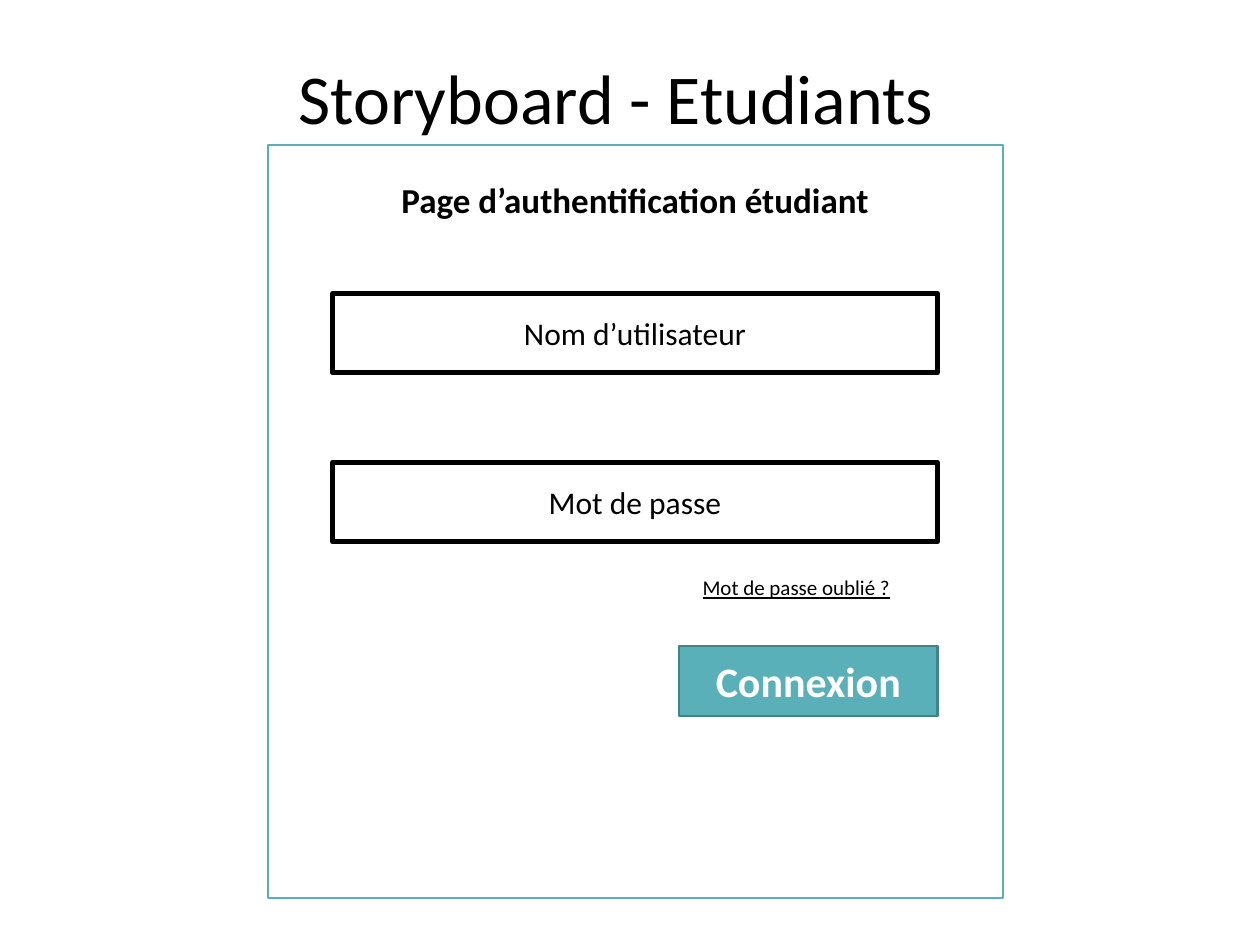
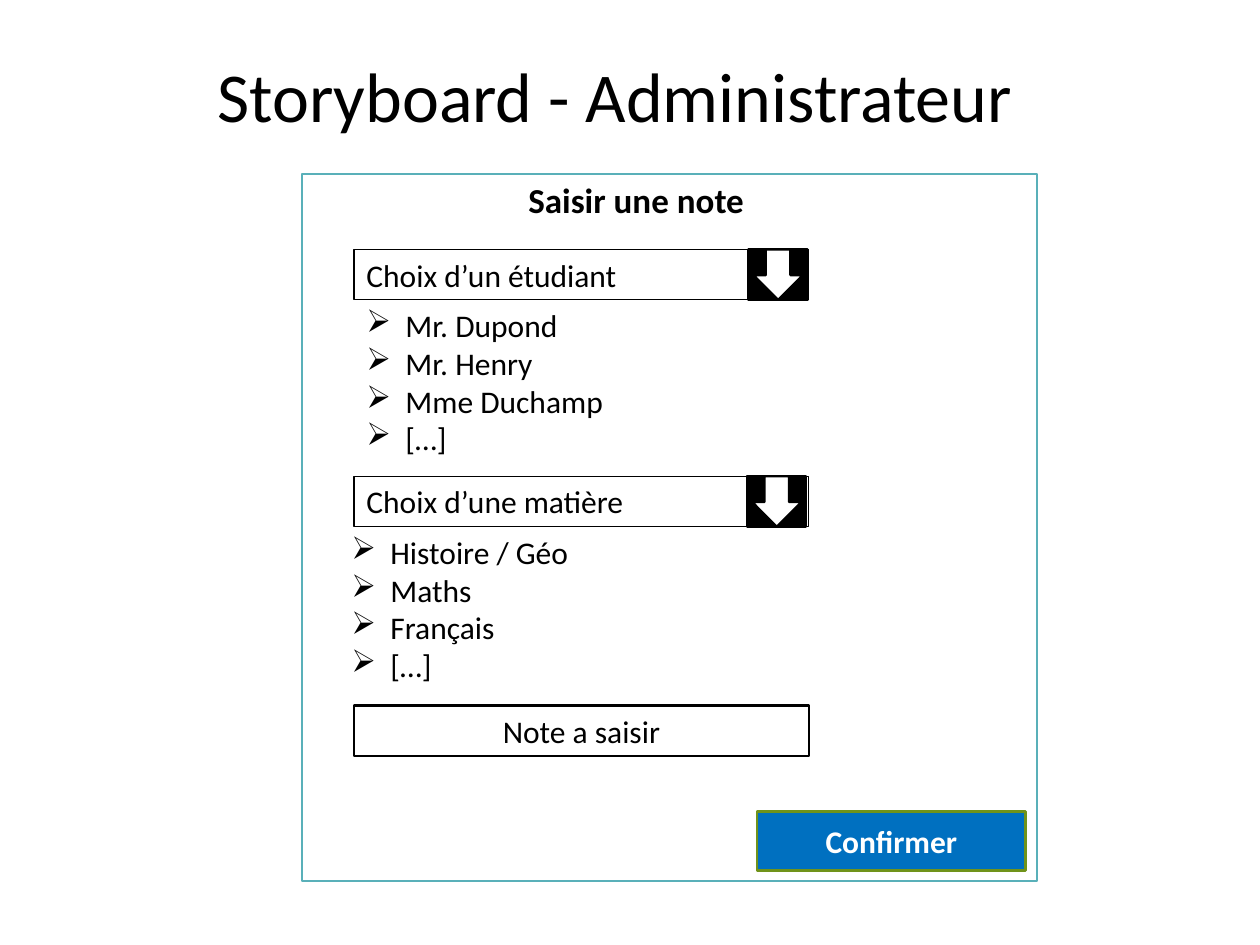
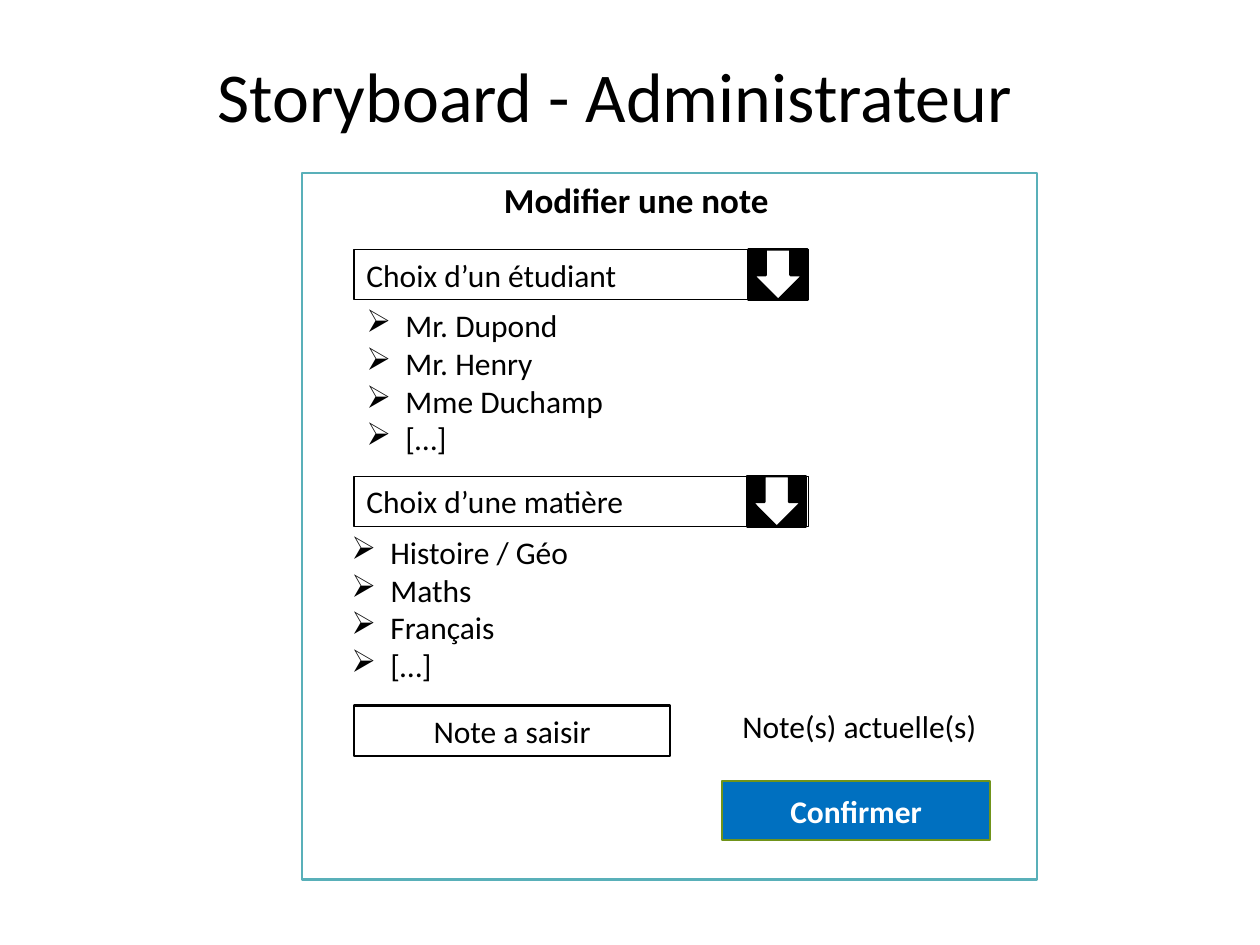
from dataclasses import dataclass

from lxml import etree
from pptx import Presentation
from pptx import util as u
from pptx.dml.color import RGBColor
from pptx.enum import shapes, text
from pptx.oxml.ns import qn


@dataclass(frozen=True)
class Theme:
    font: str = "Calibri"
    black: str = "000000"
    white: str = "FFFFFF"
    teal: str = "59B0B9"
    dark_teal: str = "428289"
    blue: str = "0070C0"
    olive: str = "70931A"
    title: int = 40
    button: int = 24
    heading: int = 20
    body: int = 18
    link: int = 12
    thin: float = 0.75
    line: float = 1.25
    thick: float = 3


THEME = Theme()
RECT = shapes.MSO_SHAPE.RECTANGLE
ARROW = shapes.MSO_SHAPE.DOWN_ARROW
LEFT, CENTER = text.PP_ALIGN.LEFT, text.PP_ALIGN.CENTER
TOP, MIDDLE = text.MSO_ANCHOR.TOP, text.MSO_ANCHOR.MIDDLE

# Content
LOGIN = {
    "title": "Storyboard - Etudiants",
    "heading": "Page d’authentification étudiant",
    "fields": ["Nom d’utilisateur", "Mot de passe"],
    "link": "Mot de passe oublié ?",
    "button": "Connexion",
}
ADMIN_TITLE = "Storyboard - Administrateur"
# Label, choices, left of the choices, left of the arrow button
MENUS = [
    ("Choix d’un étudiant", ["Mr. Dupond", "Mr. Henry", "Mme Duchamp", "[…]"], 2.81, 5.94),
    ("Choix d’une matière", ["Histoire / Géo", "Maths", "Français", "[…]"], 2.69, 5.93),
]
GRADE_LABEL = "Note a saisir"
CONFIRM = "Confirmer"
ADMIN_PAGES = [
    {"heading": "Saisir une note", "frame_top": 1.38, "grade_width": 3.61,
     "confirm_at": (6.01, 6.44), "current": None},
    {"heading": "Modifier une note", "frame_top": 1.37, "grade_width": 2.51,
     "confirm_at": (5.73, 6.2), "current": "Note(s) actuelle(s)"},
]

# Shared layout, in inches
COLUMN_LEFT, COLUMN_WIDTH = 2.81, 3.61
ROW_HEIGHT = 0.4
MENU_TOP, MENU_STEP = 1.98, 1.8
GRADE_TOP = 5.6
BULLET_INDENT = 0.31


def write(box, lines, size, color=THEME.black, bold=False, underline=False,
          align=CENTER, anchor=TOP, bullet=None):
    frame = box.text_frame
    frame.word_wrap = True
    frame.vertical_anchor = anchor
    frame.text = "\n".join(lines)
    for para in frame.paragraphs:
        para.alignment = align
        if bullet:
            props = para._p.get_or_add_pPr()
            indent = u.Inches(BULLET_INDENT)
            props.set("marL", str(indent))
            props.set("indent", str(-indent))
            etree.SubElement(props, qn("a:buChar")).set("char", bullet)
        for span in para.runs:
            font = span.font
            font.name, font.size = THEME.font, u.Pt(size)
            font.bold, font.underline = bold, underline
            font.color.rgb = RGBColor.from_string(color)


def add_text(page, at, lines, size, **style):
    box = page.shapes.add_textbox(*map(u.Inches, at))
    write(box, lines, size, **style)


def add_box(page, at, fill=None, line=None, width=THEME.line, kind=RECT,
            label=None, size=THEME.body, **style):
    box = page.shapes.add_shape(kind, *map(u.Inches, at))
    box.shadow.inherit = False
    if fill:
        box.fill.solid()
        box.fill.fore_color.rgb = RGBColor.from_string(fill)
    else:
        box.fill.background()
    if line:
        box.line.color.rgb = RGBColor.from_string(line)
        box.line.width = u.Pt(width)
    else:
        box.line.fill.background()
    if label:
        write(box, [label], size, **style)


def add_page(deck, title, title_at, frame_at, heading, heading_at):
    """Add a page with its title, window frame and window heading."""
    page = deck.slides.add_slide(deck.slide_layouts[6])
    add_box(page, frame_at, THEME.white, THEME.teal)
    add_text(page, (*title_at, 8.5, 0.77), [title], THEME.title)
    add_text(page, (*heading_at, 4.8, 0.44), [heading], THEME.heading, bold=True)
    return page


def add_menu(page, top, label, choices, choices_left, button_left):
    add_box(page, (button_left, top, 0.47, ROW_HEIGHT), THEME.black, THEME.black)
    add_box(page, (COLUMN_LEFT, top, COLUMN_WIDTH, ROW_HEIGHT), line=THEME.black,
            width=THEME.thin, label=label, align=LEFT)
    add_box(page, (button_left + 0.04, top, 0.39, ROW_HEIGHT), THEME.white,
            THEME.black, kind=ARROW)
    add_text(page, (choices_left, top + ROW_HEIGHT, COLUMN_WIDTH, 1.35), choices,
             THEME.body, align=LEFT, bullet="➢")


def build_login(deck):
    page = add_page(deck, LOGIN["title"], (0.64, 0.38), (2.13, 1.15, 5.83, 5.98),
                    LOGIN["heading"], (2.64, 1.37))
    for index, label in enumerate(LOGIN["fields"]):
        add_box(page, (2.64, 2.33 + index * 1.34, 4.8, 0.63), THEME.white,
                THEME.black, THEME.thick, label=label, anchor=MIDDLE)
    add_text(page, (5.2, 4.51, 2.24, 0.3), [LOGIN["link"]], THEME.link, underline=True)
    add_box(page, (5.39, 5.13, 2.05, 0.55), THEME.teal, THEME.dark_teal,
            label=LOGIN["button"], size=THEME.button, color=THEME.white,
            bold=True, anchor=MIDDLE)


def build_admin(deck, content):
    page = add_page(deck, ADMIN_TITLE, (0.63, 0.37),
                    (2.4, content["frame_top"], 5.83, 5.61),
                    content["heading"], (2.65, 1.37))
    for index, menu in enumerate(MENUS):
        add_menu(page, MENU_TOP + index * MENU_STEP, *menu)

    # Grade entry and confirmation
    if content["current"]:
        add_box(page, (5.79, 5.56, 2.06, ROW_HEIGHT), THEME.white,
                label=content["current"])
    add_box(page, (COLUMN_LEFT, GRADE_TOP, content["grade_width"], ROW_HEIGHT),
            THEME.white, THEME.black, label=GRADE_LABEL)
    add_box(page, (*content["confirm_at"], 2.13, 0.47), THEME.blue, THEME.olive,
            label=CONFIRM, color=THEME.white, bold=True, anchor=MIDDLE)


def main():
    deck = Presentation()
    deck.slide_width, deck.slide_height = u.Inches(10), u.Inches(7.5)
    build_login(deck)
    for content in ADMIN_PAGES:
        build_admin(deck, content)
    deck.save("out.pptx")


if __name__ == "__main__":
    main()
